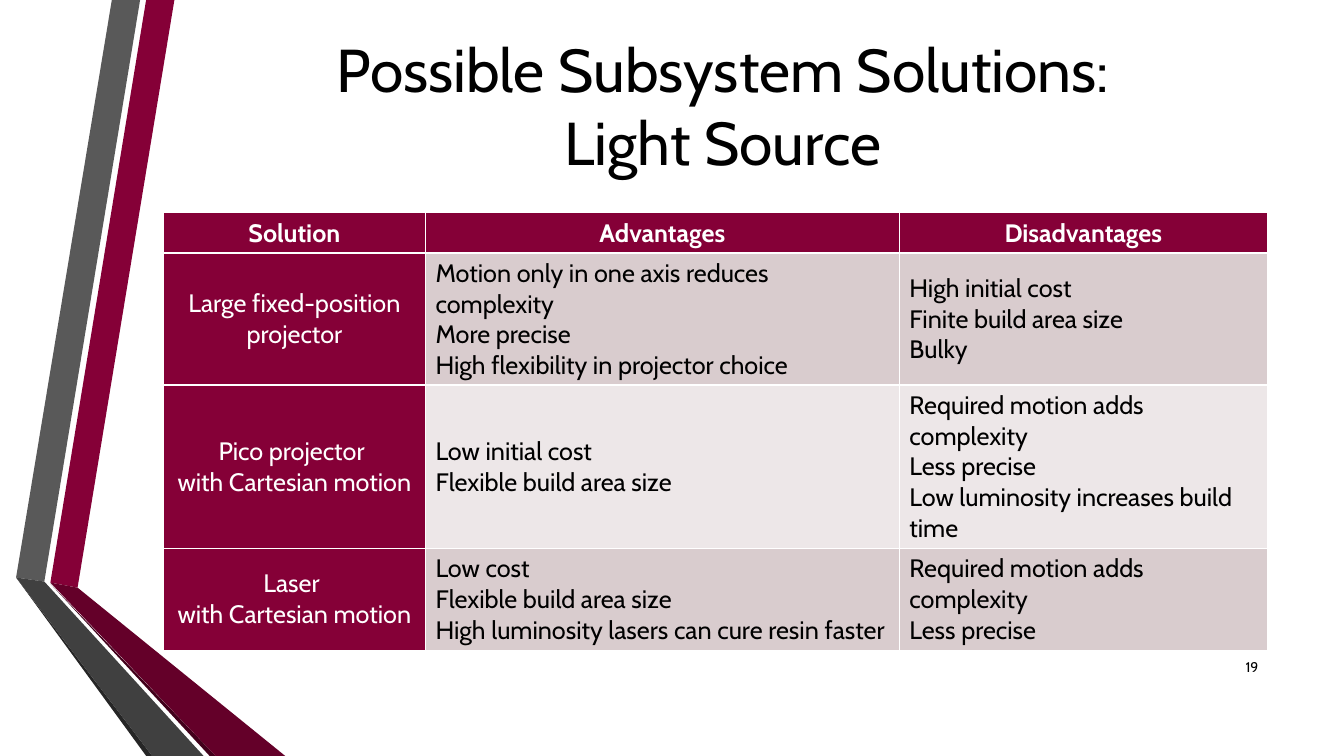
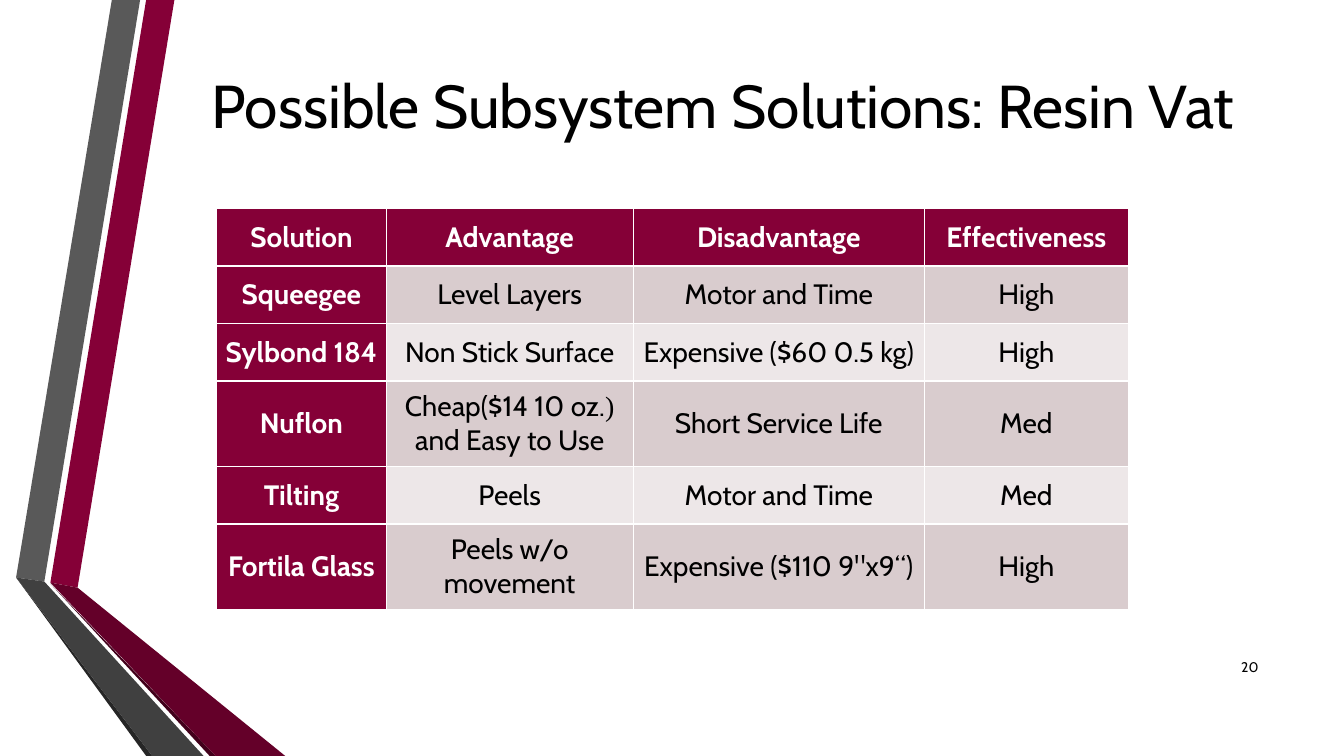
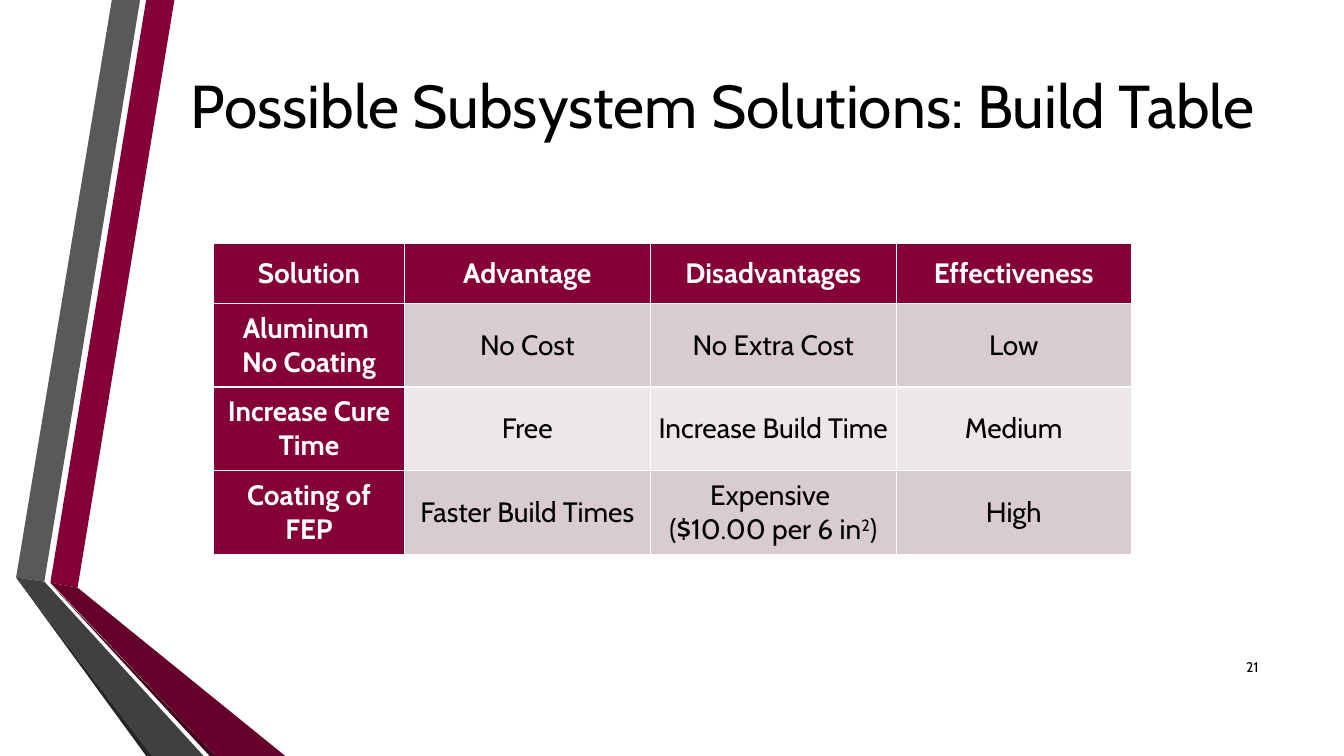
"""Build three slides comparing possible subsystem solutions."""
from pptx import Presentation
from pptx.dml.color import RGBColor as Rgb
from pptx.enum.text import MSO_ANCHOR as Anchor, PP_ALIGN as Align
from pptx.util import Inches, Pt

FONT = "Cabin"
HEX = {
    "maroon": "850037", "wine": "640029", "plum": "42001B",
    "gray": "595959", "slate": "404040", "coal": "262626",
    "rose": "D9CCCE", "pale": "EDE7E8", "white": "FFFFFF", "black": "000000",
}
BANDS = [
    ("maroon", [(0.5, 5.78), (0.77, 5.83), (1.73, 0), (1.45, 0)]),
    ("gray", [(1.39, 0), (1.11, 0), (0.16, 5.73), (0.44, 5.77)]),
    ("coal", [(0.16, 5.73), (1.45, 7.5), (1.51, 7.5)]),
    ("plum", [(0.5, 5.79), (2.08, 7.5), (2.14, 7.5)]),
    ("wine", [(0.5, 5.78), (2.14, 7.5), (2.83, 7.5), (0.77, 5.83)]),
    ("slate", [(2.02, 7.5), (0.44, 5.77), (0.16, 5.73), (1.51, 7.5)]),
]
TITLE = (1.69, 0.46, 10.96, 1.16)
FOOT = (11.98, 6.42, 0.6, 0.4)
FIRST = 19

SLIDES = [
    {
        "title": "Possible Subsystem Solutions:\vLight Source",
        "at": (1.62, 2.11), "size": 18, "pad": (0.1, 0.05),
        "bold": False, "align": Align.LEFT,
        "cols": [2.6, 4.7, 3.65], "rows": [0.4, 1.31, 1.62, 1.01],
        "cells": [
            ["Solution", "Advantages", "Disadvantages"],
            ["Large fixed-position projector",
             "Motion only in one axis reduces complexity\nMore precise\n"
             "High flexibility in projector choice",
             "High initial cost\nFinite build area size\nBulky"],
            ["Pico projector \nwith Cartesian motion",
             "Low initial cost\nFlexible build area size",
             "Required motion adds complexity\nLess precise\n"
             "Low luminosity increases build time"],
            ["Laser \nwith Cartesian motion",
             "Low cost\nFlexible build area size\n"
             "High luminosity lasers can cure resin faster",
             "Required motion adds complexity\nLess precise"],
        ],
    },
    {
        "title": "Possible Subsystem Solutions: Resin Vat",
        "at": (2.15, 2.07), "size": 20, "pad": (0.07, 0),
        "bold": True, "align": Align.CENTER,
        "cols": [1.68, 2.45, 2.89, 2.02],
        "rows": [0.57, 0.57, 0.57, 0.85, 0.57, 0.85],
        "cells": [
            ["Solution", "Advantage", "Disadvantage", "Effectiveness"],
            ["Squeegee", "Level Layers", "Motor and Time", "High"],
            ["Sylbond 184", "Non Stick Surface", "Expensive ($60 0.5 kg)",
             "High"],
            ["Nuflon",
             [["Cheap($14 10 oz.", (") ", "serif"), "and Easy to Use"]],
             "Short Service Life", "Med"],
            ["Tilting", "Peels", "Motor and Time", "Med"],
            ["Fortila Glass", "Peels w/o movement",
             "Expensive ($110 9\"x9\u201c)", "High"],
        ],
    },
    {
        "title": "Possible Subsystem Solutions: Build Table",
        "at": (2.12, 2.41), "size": 20, "pad": (0.07, 0),
        "bold": True, "align": Align.CENTER,
        "cols": [1.89, 2.44, 2.44, 2.33], "rows": [0.6, 0.83, 0.83, 0.83],
        "cells": [
            ["Solution", "Advantage", "Disadvantages", "Effectiveness"],
            ["Aluminum \nNo Coating", "No Cost", "No Extra Cost", "Low"],
            ["Increase Cure Time", "Free", "Increase Build Time", "Medium"],
            ["Coating of FEP", "Faster Build Times",
             [["Expensive "], ["($10.00 per 6 in", ("2", "super"), ")"]],
             "High"],
        ],
    },
]


def color(name):
    return Rgb.from_string(HEX[name])


def style(para, size, ink, align, bold=False):
    para.alignment = align
    font = para.font
    font.name, font.size, font.bold = FONT, Pt(size), bold
    font.color.rgb = color(ink)


def add_runs(para, parts):
    for part in parts:
        text, kind = (part, None) if isinstance(part, str) else part
        run = para.add_run()
        run.text = text
        if kind == "serif":
            run.font.name = "Times New Roman"
        elif kind == "super":
            run._r.get_or_add_rPr().set("baseline", "30000")


def add_text(slide, box, text, size, align):
    frame = slide.shapes.add_textbox(*map(Inches, box)).text_frame
    frame.word_wrap = True
    frame.vertical_anchor = Anchor.MIDDLE
    para = frame.paragraphs[0]
    para.text = text
    style(para, size, "black", align)


def add_bands(slide):
    for fill, points in BANDS:
        start, *rest = [(Inches(x), Inches(y)) for x, y in points]
        path = slide.shapes.build_freeform(*start)
        path.add_line_segments(rest, close=True)
        band = path.convert_to_shape()
        band.shadow.inherit = False
        band.fill.solid()
        band.fill.fore_color.rgb = color(fill)
        band.line.fill.background()


def fill_cell(cell, text, data, row, col):
    head = row == 0 or col == 0
    fill = "maroon" if head else "rose" if row % 2 else "pale"
    cell.fill.solid()
    cell.fill.fore_color.rgb = color(fill)
    cell.vertical_anchor = Anchor.MIDDLE
    side, edge = map(Inches, data["pad"])
    cell.margin_left = cell.margin_right = side
    cell.margin_top = cell.margin_bottom = edge
    lines = [[t] for t in text.split("\n")] if isinstance(text, str) else text
    frame = cell.text_frame
    for i, parts in enumerate(lines):
        para = frame.add_paragraph() if i else frame.paragraphs[0]
        style(para, data["size"], "white" if head else "black",
              Align.CENTER if head else data["align"],
              row == 0 or (head and data["bold"]))
        add_runs(para, parts)


def add_grid(slide, data):
    cols, rows = data["cols"], data["rows"]
    box = (*data["at"], sum(cols), sum(rows))
    grid = slide.shapes.add_table(len(rows), len(cols),
                                  *map(Inches, box)).table
    for col, width in zip(grid.columns, cols):
        col.width = Inches(width)
    for row, height in zip(grid.rows, rows):
        row.height = Inches(height)
    for r, line in enumerate(data["cells"]):
        for c, text in enumerate(line):
            fill_cell(grid.cell(r, c), text, data, r, c)


deck = Presentation()
deck.slide_width, deck.slide_height = Inches(13.33), Inches(7.5)
for page, data in enumerate(SLIDES, FIRST):
    slide = deck.slides.add_slide(deck.slide_layouts[6])
    add_bands(slide)
    add_text(slide, TITLE, data["title"], 43.2, Align.CENTER)
    add_grid(slide, data)
    add_text(slide, FOOT, str(page), 10, Align.RIGHT)
deck.save("out.pptx")
